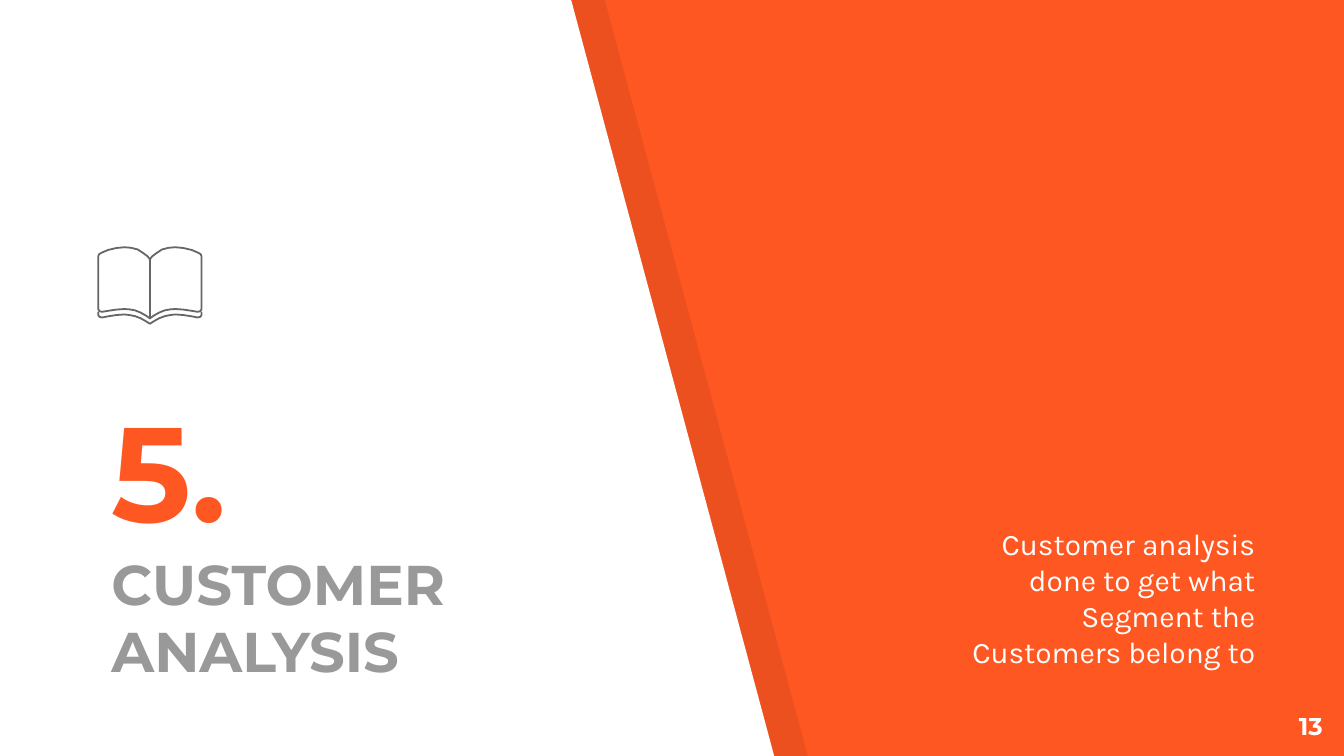
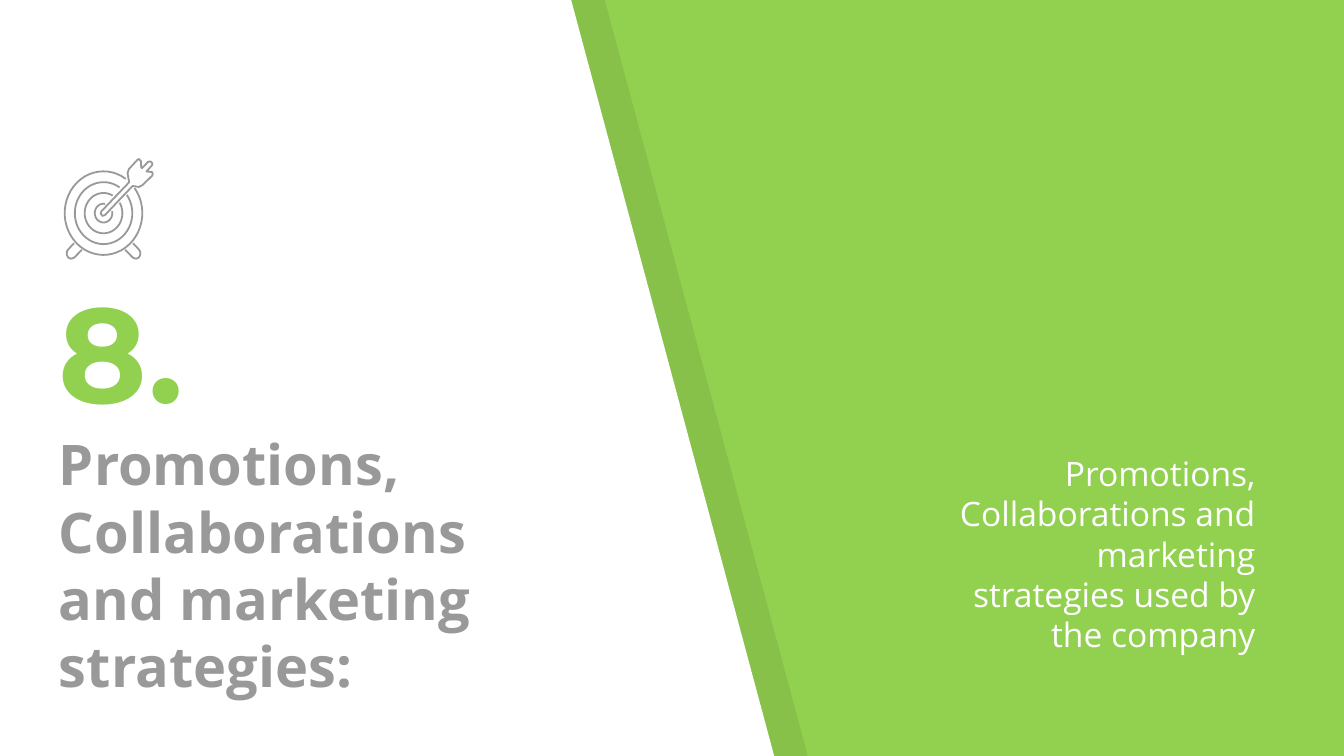
from dataclasses import dataclass
from math import cos, radians, sin

from lxml.etree import SubElement
from pptx import Presentation
from pptx.dml.color import RGBColor
from pptx.enum.text import MSO_ANCHOR as Anchor, PP_ALIGN as Align
from pptx.oxml.ns import qn
from pptx.util import Pt

Point = tuple[float, float]

WHITE, BLACK = "FFFFFF", "000000"
ORANGE, GREEN = "FF5722", "92D050"
TITLE_GREY, BOOK_GREY = "999999", "666666"
HEADING_FONT = "Montserrat"
INSET = 7.2
SHADE_OFFSET, SHADE_ALPHA = 18, 7
PANEL = [(0, -1), (-1, 406), (415, 406), (306, 0)]

BOOK_SPINE = 80.3
BOOK_PAGE = [
    (0, 139), (0, 170.6), (2, 169.2), (5, 167.5), (8, 166.3), (11, 165.8),
    (13.6, 165.6), (18, 165.9), (22.5, 166.6), (25.5, 167.1), (27, 166.8),
    (27.7, 165.6), (27.7, 137.5), (27.2, 136.2), (25.8, 135.4), (22.5, 134),
    (18, 132.9), (13.6, 132.5), (10, 132.8), (6.5, 133.7), (3.5, 135.7), (1.2, 137.4),
]
BOOK_COVER = [
    (27.7, 167), (27.7, 168.8), (27, 169.8), (25.5, 170.1), (22.5, 169.5), (18, 168.8),
    (13.6, 168.5), (11, 168.8), (8, 169.4), (5, 170.5), (2, 172.2), (0, 173.5),
]

TARGET_CENTER = (55.5, 114.2)
TARGET_FOOT = [
    (15.8, 130.3), (18.9, 133.6), (19.6, 134.7), (19.7, 136.5), (18.9, 138),
    (17.5, 138.6), (16, 138.2), (15.2, 137.5), (11.6, 133.8),
]
DART = [
    (81.5, 92.2), (78.5, 91.9), (81.5, 88.6), (81.7, 87.5), (80.6, 86.5), (79.3, 86.8),
    (76.2, 90.1), (75.7, 89.8), (75.5, 86.3), (74.5, 85.2), (73.6, 85.7), (69.1, 90.6),
    (68.4, 92.7), (69.2, 97.7), (54.3, 113.3), (54, 114.5), (55, 115.7), (56.3, 115.2),
    (71.1, 99.6), (74.4, 100.2), (76.4, 99.2), (81.5, 94.2), (81.9, 93.3),
]
DART_ANGLE = -46


@dataclass
class Ring:
    """One ring of the target, with the half angle left open for the dart."""
    radius_x: float
    radius_y: float
    gap: float


RINGS = [Ring(20.8, 22.4, 9), Ring(15.4, 16.6, 10), Ring(10.1, 10.8, 15), Ring(4.7, 5, 34)]


@dataclass
class Line:
    """A paragraph and its style; leading is in points."""
    text: str
    size: float
    font: str
    color: str
    bold: bool = False
    leading: float | None = None


@dataclass
class Box:
    """The place of a text box."""
    left: float
    top: float
    width: float
    height: float
    bottom_inset: float = INSET


@dataclass
class Stroke:
    """One outline of an icon."""
    points: list[Point]
    closed: bool = False


@dataclass
class Section:
    """The content of a section slide."""
    accent: str
    title_box: Box
    number: str
    title: Line
    subtitle_box: Box
    subtitle: Line
    icon: list[Stroke]
    icon_color: str
    page: str = ""


def rgb(color: str) -> RGBColor:
    """Turn a hex string into a colour."""
    return RGBColor.from_string(color)


def add_outline(shapes, stroke: Stroke):
    """Build a freeform without shadow from points."""
    corners = [(Pt(x), Pt(y)) for x, y in stroke.points]
    builder = shapes.build_freeform(*corners[0], scale=1.0)
    builder.add_line_segments(corners[1:], close=stroke.closed)
    shape = builder.convert_to_shape()
    shape.shadow.inherit = False
    return shape


def add_panel(slide, color: str, offset: float = 0, alpha: int = 100) -> None:
    """Add the slanted panel, shifted right by an offset."""
    shape = add_outline(slide.shapes, Stroke([(x + offset, y) for x, y in PANEL], True))
    shape.line.fill.background()
    shape.fill.solid()
    shape.fill.fore_color.rgb = rgb(color)
    if alpha < 100:
        tint = shape.fill._xPr.find(f".//{qn('a:srgbClr')}")
        SubElement(tint, qn("a:alpha")).set("val", str(alpha * 1000))


def add_icon(slide, strokes: list[Stroke], color: str) -> None:
    """Draw an icon as a group of unfilled outlines."""
    group = slide.shapes.add_group_shape()
    for stroke in strokes:
        shape = add_outline(group.shapes, stroke)
        shape.fill.background()
        shape.line.color.rgb = rgb(color)
        shape.line.width = Pt(0.96)


def add_text(slide, box: Box, lines: list[Line], align=Align.LEFT, anchor=Anchor.BOTTOM) -> None:
    """Add a wrapped text box with one paragraph per line."""
    shape = slide.shapes.add_textbox(Pt(box.left), Pt(box.top), Pt(box.width), Pt(box.height))
    frame = shape.text_frame
    frame.word_wrap = True
    frame.vertical_anchor = anchor
    frame.margin_left = frame.margin_right = frame.margin_top = Pt(INSET)
    frame.margin_bottom = Pt(box.bottom_inset)
    for index, line in enumerate(lines):
        paragraph = frame.add_paragraph() if index else frame.paragraphs[0]
        paragraph.text = line.text
        paragraph.alignment = align
        if line.leading:
            paragraph.line_spacing = Pt(line.leading)
        font = paragraph.font
        font.name, font.size, font.bold = line.font, Pt(line.size), line.bold
        font.color.rgb = rgb(line.color)


def mirrored(points: list[Point], axis: float, closed: bool = False) -> list[Stroke]:
    """Place an outline on both sides of a vertical axis."""
    return [Stroke([(axis + side * x, y) for x, y in points], closed) for side in (-1, 1)]


def ring_stroke(ring: Ring, steps: int = 48) -> Stroke:
    """Trace a ring around the target, open where the dart passes."""
    center_x, center_y = TARGET_CENTER
    start, sweep = DART_ANGLE + ring.gap, 360 - 2 * ring.gap
    angles = [radians(start + sweep * step / steps) for step in range(steps + 1)]
    return Stroke([(center_x + ring.radius_x * cos(angle), center_y + ring.radius_y * sin(angle))
                   for angle in angles])


def book_icon() -> list[Stroke]:
    """Return the outlines of an open book."""
    return mirrored(BOOK_COVER, BOOK_SPINE) + mirrored(BOOK_PAGE, BOOK_SPINE, True)


def target_icon() -> list[Stroke]:
    """Return the outlines of a target with a dart."""
    feet = mirrored(TARGET_FOOT, TARGET_CENTER[0])
    return [ring_stroke(ring) for ring in RINGS] + feet + [Stroke(DART, True)]


def add_section(presentation, section: Section) -> None:
    """Add one section slide."""
    slide = presentation.slides.add_slide(presentation.slide_layouts[6])
    slide.background.fill.solid()
    slide.background.fill.fore_color.rgb = rgb(section.accent)
    add_panel(slide, BLACK, SHADE_OFFSET, SHADE_ALPHA)
    add_panel(slide, WHITE)
    number = Line(section.number, 72, HEADING_FONT, section.accent, True)
    add_text(slide, section.title_box, [number, section.title])
    add_text(slide, section.subtitle_box, [section.subtitle], Align.RIGHT)
    if section.page:
        page = Line(section.page, 13, HEADING_FONT, WHITE, True)
        add_text(slide, Box(672.5, 373.7, 43.2, 31), [page], Align.RIGHT, Anchor.TOP)
    add_icon(slide, section.icon, section.icon_color)


def main() -> None:
    """Build and save the presentation."""
    presentation = Presentation()
    presentation.slide_width, presentation.slide_height = Pt(720), Pt(405)
    sections = [
        Section(
            ORANGE, Box(52.6, 138.2, 277.2, 235.4), "5.",
            Line("CUSTOMER ANALYSIS", 30, HEADING_FONT, TITLE_GREY, True, 36),
            Box(501.8, 257, 177.8, 108.7),
            Line("Customer analysis done to get what Segment the Customers belong to",
                 16, "Karla", WHITE, leading=19.3),
            book_icon(), BOOK_GREY, "13"),
        Section(
            GREEN, Box(24.5, 180, 277.2, 235.4, 41), "8.",
            Line("Promotions, Collaborations and marketing strategies:",
                 30, "Open Sans", TITLE_GREY, True, 36),
            Box(496.8, 276.5, 182.9, 81.4),
            Line("Promotions, Collaborations and marketing strategies used by the company",
                 18, "Open Sans", WHITE, leading=21.6),
            target_icon(), TITLE_GREY),
    ]
    for section in sections:
        add_section(presentation, section)
    presentation.save("out.pptx")


if __name__ == "__main__":
    main()
